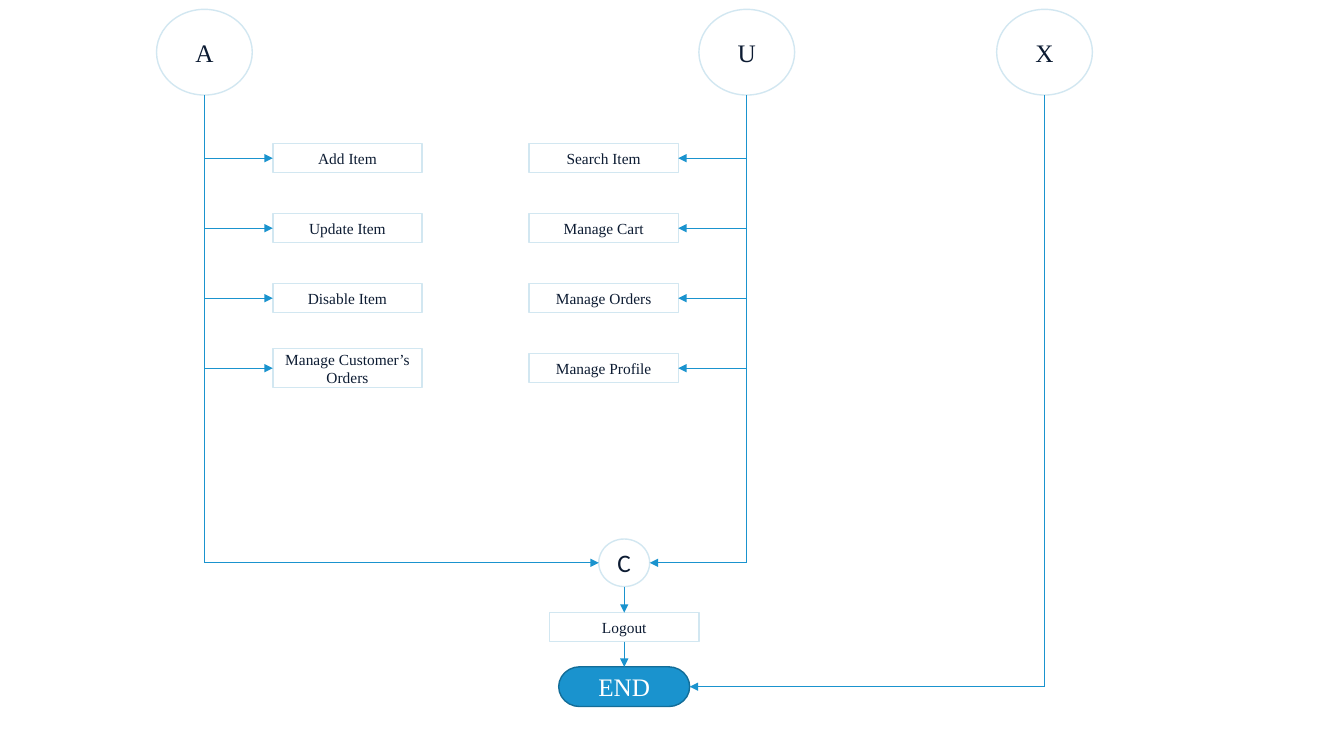
from lxml import etree
from pptx import Presentation
from pptx import util as u
from pptx.dml import color
from pptx.enum import shapes, text
from pptx.oxml import ns

HUES = {"ink": "0C1B32", "pale": "D2E7F1", "blue": "1A93CE",
        "deep": "136D98", "white": "FFFFFF"}
KINDS = shapes.MSO_SHAPE


def hue(name):
    return color.RGBColor.from_string(HUES[name])


def write(shape, words, size=11, font="Times New Roman", ink="ink"):
    frame = shape.text_frame
    frame.word_wrap = True
    frame.vertical_anchor = text.MSO_ANCHOR.MIDDLE
    para = frame.paragraphs[0]
    para.alignment = text.PP_ALIGN.CENTER
    run = para.add_run()
    run.text = words
    run.font.size = u.Pt(size)
    run.font.name = font
    run.font.color.rgb = hue(ink)


class Flow:
    """Draws flowchart parts, placed by their centres in points."""

    def __init__(self, slide):
        self.slide = slide
        self.edge = 1
        self.thin = 0.5

    def node(self, kind, x, y, w, h, words, fill="white", line="pale", **form):
        node = self.slide.shapes.add_shape(
            kind, u.Pt(x - w / 2), u.Pt(y - h / 2), u.Pt(w), u.Pt(h))
        node.shadow.inherit = False
        node.fill.solid()
        node.fill.fore_color.rgb = hue(fill)
        node.line.color.rgb = hue(line)
        node.line.width = u.Pt(self.edge)
        write(node, words, **form)

    def circle(self, x, y, words, w=68.4, h=61.2, **form):
        self.node(KINDS.OVAL, x, y, w, h, words, size=18, **form)

    def box(self, x, y, words, h=20.9):
        self.node(KINDS.RECTANGLE, x, y, BOX, h, words)

    def line(self, x1, y1, x2, y2, head=True):
        link = self.slide.shapes.add_connector(
            shapes.MSO_CONNECTOR.STRAIGHT,
            u.Pt(x1), u.Pt(y1), u.Pt(x2), u.Pt(y2))
        link.line.color.rgb = hue("blue")
        link.line.width = u.Pt(self.thin)
        if head:
            etree.SubElement(link.line._get_or_add_ln(),
                             ns.qn("a:tailEnd"), type="triangle")
        etree.SubElement(link._element.spPr, ns.qn("a:effectLst"))

    def elbow(self, x, top, low, end):
        self.line(x, top, x, low, head=False)
        self.line(x, low, end, low)


deck = Presentation()
deck.slide_width, deck.slide_height = u.Pt(960), u.Pt(540)
flow = Flow(deck.slides.add_slide(deck.slide_layouts[6]))

BOX = 106.6
MID = 445.9
TOP, LOW = 37.3, 67.9
JOIN, STOP = 402, 490.5
ADMIN, USER, EXIT = 146, 533.4, 746.1

# Entry circles
for x, name in ((ADMIN, "A"), (USER, "U"), (EXIT, "X")):
    flow.circle(x, TOP, name)

# Closing steps
flow.circle(MID, JOIN, "C", w=36.4, h=34, font="Calibri")
flow.box(MID, 448, "Logout")
flow.node(KINDS.FLOWCHART_TERMINATOR, MID, STOP, 93.6, 28.4, "END",
          fill="blue", line="deep", size=18, ink="white")
flow.line(MID, 419, MID, 437.6)
flow.line(MID, 458.4, MID, 476.3)

# Trunks down to the closing steps
flow.elbow(EXIT, LOW, STOP, MID + 46.8)
flow.elbow(USER, LOW, JOIN, MID + 18.2)
flow.elbow(ADMIN, LOW, JOIN, MID - 18.2)

# Action columns: trunk, box centre, side facing the trunk, labels
COLS = (
    (USER, 431.2, 1,
     ("Search Item", "Manage Cart", "Manage Orders", "Manage Profile")),
    (ADMIN, 248.2, -1,
     ("Add Item", "Update Item", "Disable Item", "Manage Customer’s Orders")),
)
for trunk, x, side, names in COLS:
    for row, name in enumerate(names):
        y = 113 + 50 * row
        flow.box(x, y, name, h=28 if len(name) > 20 else 20.9)
        flow.line(trunk, y, x + side * BOX / 2, y)

deck.save("out.pptx")
